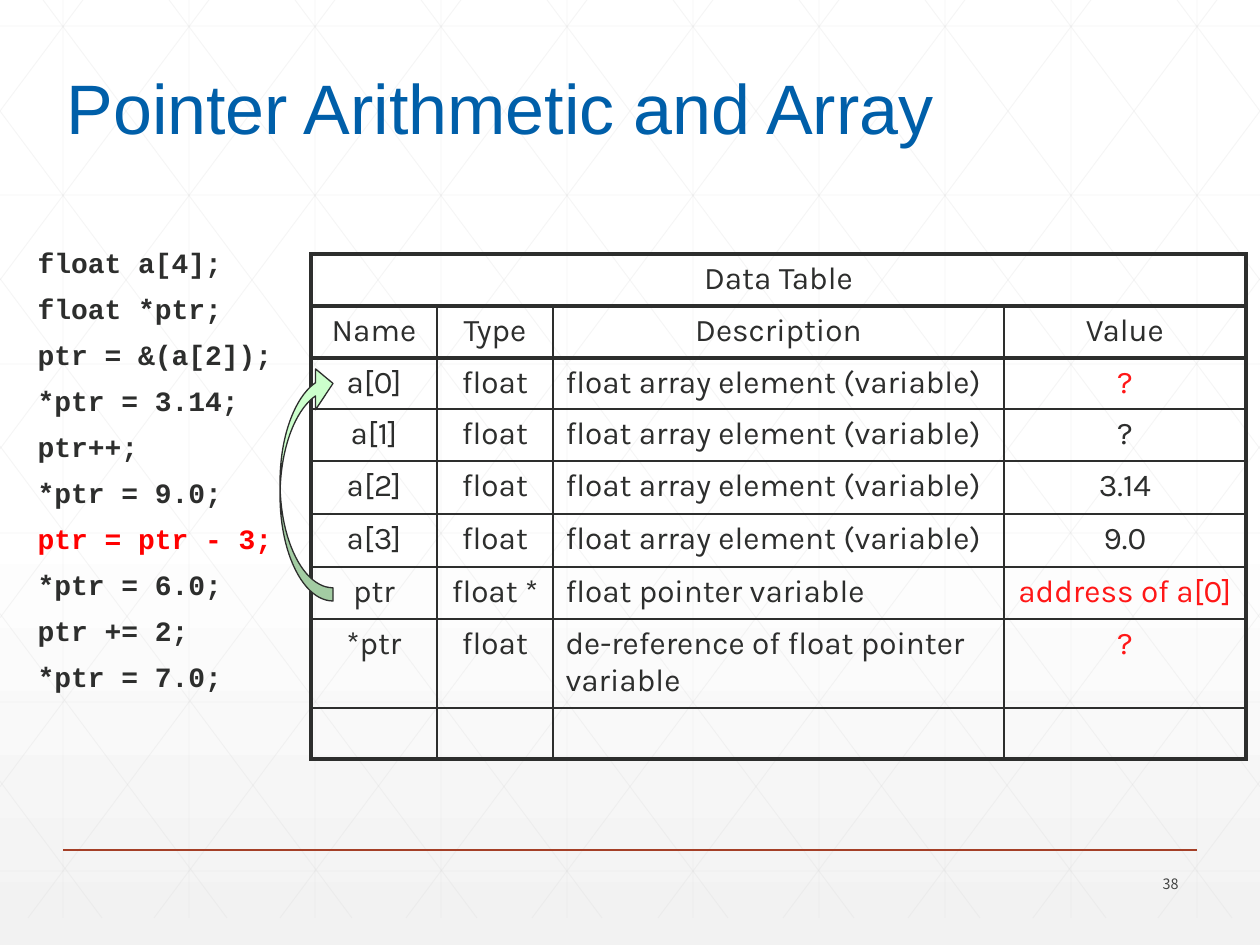
from lxml import etree
from pptx import Presentation
from pptx import util as u
from pptx.dml.color import RGBColor
from pptx.enum import shapes, text
from pptx.oxml import ns

rgb = RGBColor.from_string
INK, RED, BLUE = "2D2E2D", "FF1717", "005FA9"
WIDTH, HEIGHT = 1260, 945
GRID_TOP, GRID_BOTTOM, GRID_RUN = -27, 918, 705
SLOPE = (GRID_BOTTOM - GRID_TOP) / GRID_RUN


def px(n):
    return u.Emu(round(n * 914400 / 126))


def draw_line(x1, y1, x2, y2, color, width, opacity=100):
    rule = slide.shapes.add_connector(
        shapes.MSO_CONNECTOR.STRAIGHT, px(x1), px(y1), px(x2), px(y2))
    rule.line.color.rgb = rgb(color)
    rule.line.width = u.Pt(width)
    properties = rule._element.spPr
    etree.SubElement(properties, ns.qn("a:effectLst"))
    if opacity < 100:
        hue = properties.find(".//" + ns.qn("a:srgbClr"))
        etree.SubElement(hue, ns.qn("a:alpha"), val=str(opacity * 1000))


deck = Presentation()
deck.slide_width, deck.slide_height = px(WIDTH), px(HEIGHT)
slide = deck.slides.add_slide(deck.slide_layouts[1])

backdrop = slide.background.fill
backdrop.gradient()
backdrop.gradient_angle = 270
for stop, (position, color) in zip(backdrop.gradient_stops, [(0.53, "FFFFFF"), (1, "F2F2F2")]):
    stop.position = position
    stop.color.rgb = rgb(color)

grid = [(63 + 126 * k, GRID_TOP, 63 + 126 * k, GRID_BOTTOM) for k in range(10)]
grid += [(0, 26 + 169 * k, WIDTH, 26 + 169 * k) for k in range(6)]
diagonals = []
for k in range(10):
    start = 23 + 126 * k
    end = min(start + GRID_RUN, WIDTH)
    diagonals.append((start, GRID_TOP, end, GRID_TOP + (end - start) * SLOPE))
for k in range(5):
    start = WIDTH - 102 - 125 * k
    diagonals.append((start, GRID_BOTTOM, WIDTH, GRID_BOTTOM - (WIDTH - start) * SLOPE))
grid += diagonals + [(WIDTH - x1, y1, WIDTH - x2, y2) for x1, y1, x2, y2 in diagonals]
for ends in grid:
    draw_line(*ends, "D9D9D9", 0.5, 25)
draw_line(63, 850, 1197, 850, "A43F27", 1)

styled = []

title, code = slide.shapes.title, slide.placeholders[1]
page = slide.shapes.add_textbox(px(1096), px(869), px(95), px(30))
for part, box, wrap, anchor in [
    (title, (54, 58, 902, 97), False, text.MSO_ANCHOR.TOP),
    (code, (25, 243, 284, 567), True, text.MSO_ANCHOR.TOP),
    (page, (1096, 869, 95, 30), True, text.MSO_ANCHOR.MIDDLE),
]:
    slide.shapes._spTree.append(part._element)
    part.left, part.top, part.width, part.height = map(px, box)
    frame = part.text_frame
    frame.auto_size = text.MSO_AUTO_SIZE.NONE
    frame.word_wrap = wrap
    frame.vertical_anchor = anchor

title.text_frame.text = "Pointer Arithmetic and Array"
heading = title.text_frame.paragraphs[0]
heading.alignment = text.PP_ALIGN.LEFT
styled.append((heading, BLUE, {"size": u.Pt(40), "name": "Arial"}))

page.text_frame.text = "38"
number = page.text_frame.paragraphs[0]
number.alignment = text.PP_ALIGN.RIGHT
styled.append((number, "424342", {"size": u.Pt(8.2), "name": "Noto Sans CJK TC"}))

statements = [
    "float a[4];", "float *ptr;", "ptr = &(a[2]);", "*ptr = 3.14;", "ptr++;",
    "*ptr = 9.0;", "ptr = ptr - 3;", "*ptr = 6.0;", "ptr += 2;", "*ptr = 7.0;",
]
code.text_frame.text = "\n".join(statements)
for i, statement in enumerate(code.text_frame.paragraphs):
    settings = statement._p.get_or_add_pPr()
    settings.set("marL", str(px(24)))
    settings.set("indent", str(px(-24)))
    statement.line_spacing = 0.9
    statement.space_before = u.Pt(9 if i else 0)
    etree.SubElement(settings, ns.qn("a:buNone"))
    color = "FF0000" if statement.text == "ptr = ptr - 3;" else INK
    styled.append((statement, color, {"size": u.Pt(16), "name": "Courier New", "bold": True}))

element = "float array element (variable)"
rows = [
    ("Data Table", "", "", ""),
    ("Name", "Type", "Description", "Value"),
    ("a[0]", "float", element, "?"),
    ("a[1]", "float", element, "?"),
    ("a[2]", "float", element, "3.14"),
    ("a[3]", "float", element, "9.0"),
    ("ptr", "float *", "float pointer variable", "address of a[0]"),
    ("*ptr", "float", "de-reference of float pointer variable", "?"),
    ("", "", "", ""),
]
row_heights = [52, 52, 51, 52, 53, 53, 52, 89, 50]
column_widths = [126, 116, 451, 242]
changed_values = {(2, 3), (6, 3), (7, 3)}
last_row, last_column = len(rows) - 1, len(column_widths) - 1

data = slide.shapes.add_table(len(rows), len(column_widths), px(311), px(254),
                              px(sum(column_widths)), px(sum(row_heights))).table
data.first_row = data.horz_banding = False
for row, height in zip(data.rows, row_heights):
    row.height = px(height)
for column, width in zip(data.columns, column_widths):
    column.width = px(width)
data.cell(0, 0).merge(data.cell(0, last_column))

for r, entries in enumerate(rows):
    for c, entry in enumerate(entries):
        cell = data.cell(r, c)
        heavy_sides = {
            "L": r == 0 or c == 0,
            "R": r == 0 or c == last_column,
            "T": r <= 2,
            "B": r <= 1 or r == last_row,
        }
        borders = cell._tc.get_or_add_tcPr()
        for side, heavy in heavy_sides.items():
            edge = etree.SubElement(borders, ns.qn("a:ln" + side),
                                    w=str(u.Pt(2.25 if heavy else 1)))
            ink = etree.SubElement(edge, ns.qn("a:solidFill"))
            etree.SubElement(ink, ns.qn("a:srgbClr"), val=INK)
        cell.fill.background()
        if entry:
            cell.text = entry
            label = cell.text_frame.paragraphs[0]
            left = c == 2 and r > 1
            label.alignment = text.PP_ALIGN.LEFT if left else text.PP_ALIGN.CENTER
            color = RED if (r, c) in changed_values else INK
            styled.append((label, color, {"size": u.Pt(18), "name": "Karla"}))

for paragraph, color, values in styled:
    for run in paragraph.runs:
        run.font.color.rgb = rgb(color)
        for key, value in values.items():
            setattr(run.font, key, value)

move = slide.shapes.add_shape(shapes.MSO_SHAPE.CURVED_LEFT_ARROW,
                              px(280), px(363), px(53), px(238))
move.rotation = 180
for i, ratio in enumerate([0.25, 0.77, 0.33]):
    move.adjustments[i] = ratio
move.shadow.inherit = False
move.fill.solid()
move.fill.fore_color.rgb = rgb("CCFFCC")
move.line.color.rgb = rgb(INK)
move.line.width = u.Pt(0.75)

deck.save("out.pptx")
